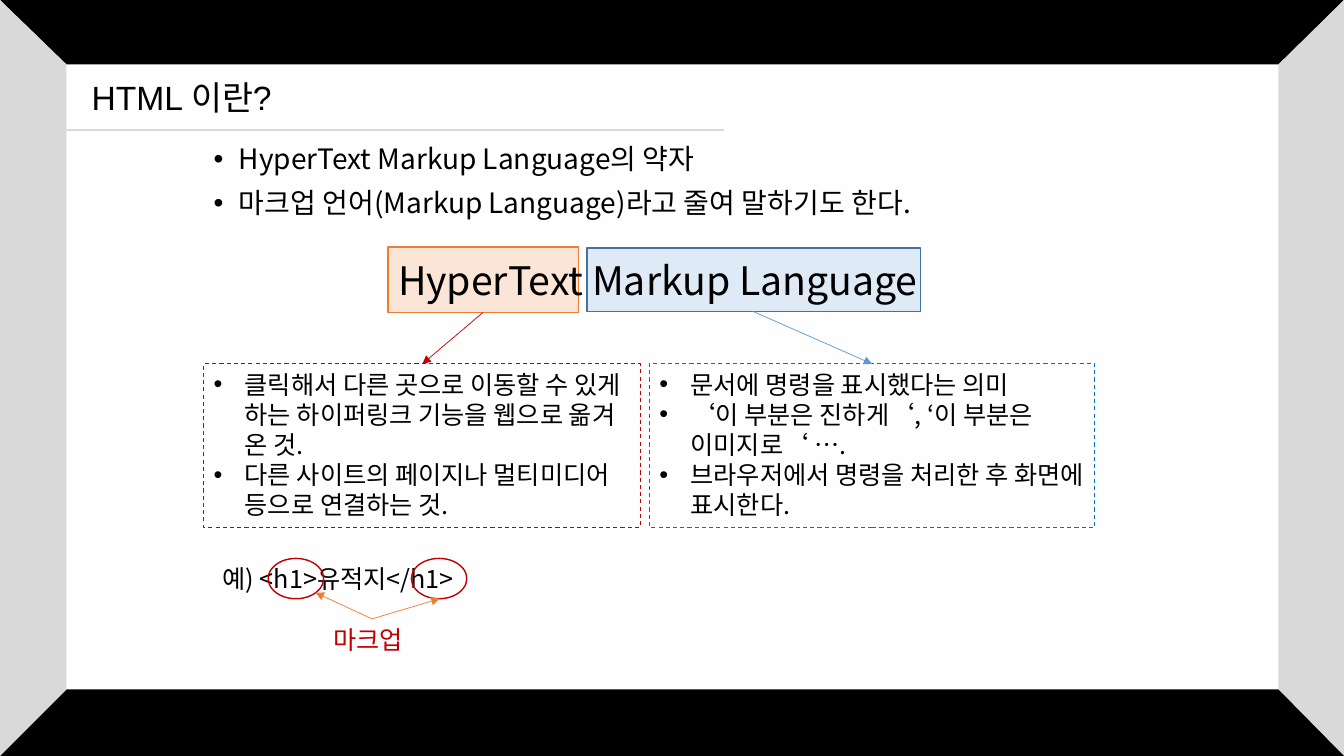
from lxml.etree import SubElement
from pptx import Presentation
from pptx.dml.color import RGBColor
from pptx.enum.dml import MSO_LINE
from pptx.enum.shapes import MSO_CONNECTOR, MSO_SHAPE
from pptx.enum.text import MSO_ANCHOR, MSO_AUTO_SIZE, PP_ALIGN
from pptx.oxml.ns import qn
from pptx.util import Pt

PX = 9144  # EMU per px, 100 px to the inch
WIDTH, HEIGHT = 1333, 750
FONT, TITLE_FONT = "Noto Sans CJK KR", "Arial"
COLORS = {
    "paper": "FEFEFE", "black": "000000", "gray": "D9D9D9",
    "peach": "FBE5D6", "orange": "ED7D31", "pale_blue": "DEEBF7",
    "steel": "43739E", "red": "C00000", "blue": "0070C0", "sky": "5B9BD5",
}

TITLE = "HTML 이란?"
SUMMARY = [
    "HyperText Markup Language의 약자",
    "마크업 언어(Markup Language)라고 줄여 말하기도 한다.",
]
TERM = "HyperText Markup Language"
HIGHLIGHTS = [  # box, fill, line
    ((385, 245, 189, 65), "peach", "orange"),
    ((582, 246, 331, 63), "pale_blue", "steel"),
]
EXPLANATIONS = [  # box, line, bullets
    ((202, 361, 433, 162), "red", [
        "클릭해서 다른 곳으로 이동할 수 있게 하는 하이퍼링크 기능을 웹으로 옮겨 온 것.",
        "다른 사이트의 페이지나 멀티미디어 등으로 연결하는 것.",
    ]),
    ((644, 361, 442, 162), "blue", [
        "문서에 명령을 표시했다는 의미",
        "‘이 부분은 진하게‘, ‘이 부분은 이미지로‘ ….",
        "브라우저에서 명령을 처리한 후 화면에 표시한다.",
    ]),
]
EXAMPLE = "예) <h1>유적지</h1>"
TAG_RINGS = [(266, 554, 55, 40), (408, 554, 55, 40)]
TAG_LABEL = "마크업"
ARROWS = [  # from, to, color
    ((479, 310), (419, 361), "red"),
    ((747, 309), (865, 361), "sky"),
    ((369, 614), (313, 588), "orange"),
    ((369, 614), (436, 594), "orange"),
]
OUTER = [(0, 0), (WIDTH, 0), (WIDTH, HEIGHT), (0, HEIGHT)]
INNER = [(66, 64), (1268, 64), (1268, 684), (66, 684)]
WALLS = ["black", "gray", "black", "gray"]  # top, right, bottom, left

prs = Presentation()
prs.slide_width, prs.slide_height = WIDTH * PX, HEIGHT * PX
slide = prs.slides.add_slide(prs.slide_layouts[6])
shapes = slide.shapes


def emu(lengths):
    return [length * PX for length in lengths]


def rgb(name):
    return RGBColor.from_string(COLORS[name])


def paint(shape, fill=None, line=None, width=1):
    shape.shadow.inherit = False
    if fill:
        shape.fill.solid()
        shape.fill.fore_color.rgb = rgb(fill)
    else:
        shape.fill.background()
    if line:
        shape.line.color.rgb = rgb(line)
        shape.line.width = Pt(width)
    else:
        shape.line.fill.background()


def add_preset(kind, box, **look):
    shape = shapes.add_shape(kind, *emu(box))
    paint(shape, **look)
    return shape


def write(shape, lines, size, font=FONT, color="black", indent=0, wrap=True,
          grow=True, spacing=None, before=0):
    """Fill a shape with paragraphs; an indent in px turns them into bullets."""
    frame = shape.text_frame
    frame.word_wrap = wrap
    frame.auto_size = MSO_AUTO_SIZE.SHAPE_TO_FIT_TEXT if grow else MSO_AUTO_SIZE.NONE
    for i, line in enumerate(lines):
        paragraph = frame.paragraphs[0] if i == 0 else frame.add_paragraph()
        paragraph.alignment = PP_ALIGN.LEFT
        paragraph.space_before = Pt(before)
        if spacing:
            paragraph.line_spacing = spacing
        if indent:
            props = paragraph._p.get_or_add_pPr()
            props.set("marL", str(indent * PX))
            props.set("indent", str(-indent * PX))
            SubElement(props, qn("a:buFont"), typeface="Arial")
            SubElement(props, qn("a:buChar"), char="•")
        run = paragraph.add_run()
        run.text = line
        run.font.size = Pt(size)
        run.font.name = font
        run.font.color.rgb = rgb(color)
        SubElement(run._r.get_or_add_rPr(), qn("a:ea"), typeface=FONT)


def add_text(box, lines, size, **style):
    write(shapes.add_textbox(*emu(box)), lines, size, **style)


def add_line(start, end, color, width, arrow=False):
    line = shapes.add_connector(MSO_CONNECTOR.STRAIGHT, *emu(start + end))
    line.line.color.rgb = rgb(color)
    line.line.width = Pt(width)
    if arrow:
        SubElement(line.line._get_or_add_ln(), qn("a:tailEnd"), type="triangle")
    SubElement(line._element.spPr, qn("a:effectLst"))


slide.background.fill.solid()
slide.background.fill.fore_color.rgb = rgb("paper")
for side, color in enumerate(WALLS):
    following = (side + 1) % 4
    builder = shapes.build_freeform(*OUTER[side], scale=PX)
    builder.add_line_segments([OUTER[following], INNER[following], INNER[side]])
    paint(builder.convert_to_shape(), fill=color)

add_line((60, 129), (718, 129), "gray", 2)
add_text((81, 71, 204, 50), [TITLE], 24, font=TITLE_FONT, wrap=False)

for box, fill, line in HIGHLIGHTS:
    add_preset(MSO_SHAPE.RECTANGLE, box, fill=fill, line=line)
add_text((202, 139, 900, 547), SUMMARY, 20, indent=25, grow=False,
         spacing=0.9, before=10)
add_text((385, 249, 551, 57), [TERM], 28)

for box, line, bullets in EXPLANATIONS:
    panel = add_preset(MSO_SHAPE.RECTANGLE, box, line=line, width=0.75)
    panel.line.dash_style = MSO_LINE.DASH
    panel.text_frame.vertical_anchor = MSO_ANCHOR.TOP
    write(panel, bullets, 18, indent=31)

add_text((211, 554, 756, 40), [EXAMPLE], 18)
for ring in TAG_RINGS:
    add_preset(MSO_SHAPE.OVAL, ring, line="red")
add_text((321, 614, 96, 40), [TAG_LABEL], 18, color="red", wrap=False)
for start, end, color in ARROWS:
    add_line(start, end, color, 0.5, arrow=True)

prs.save("out.pptx")
